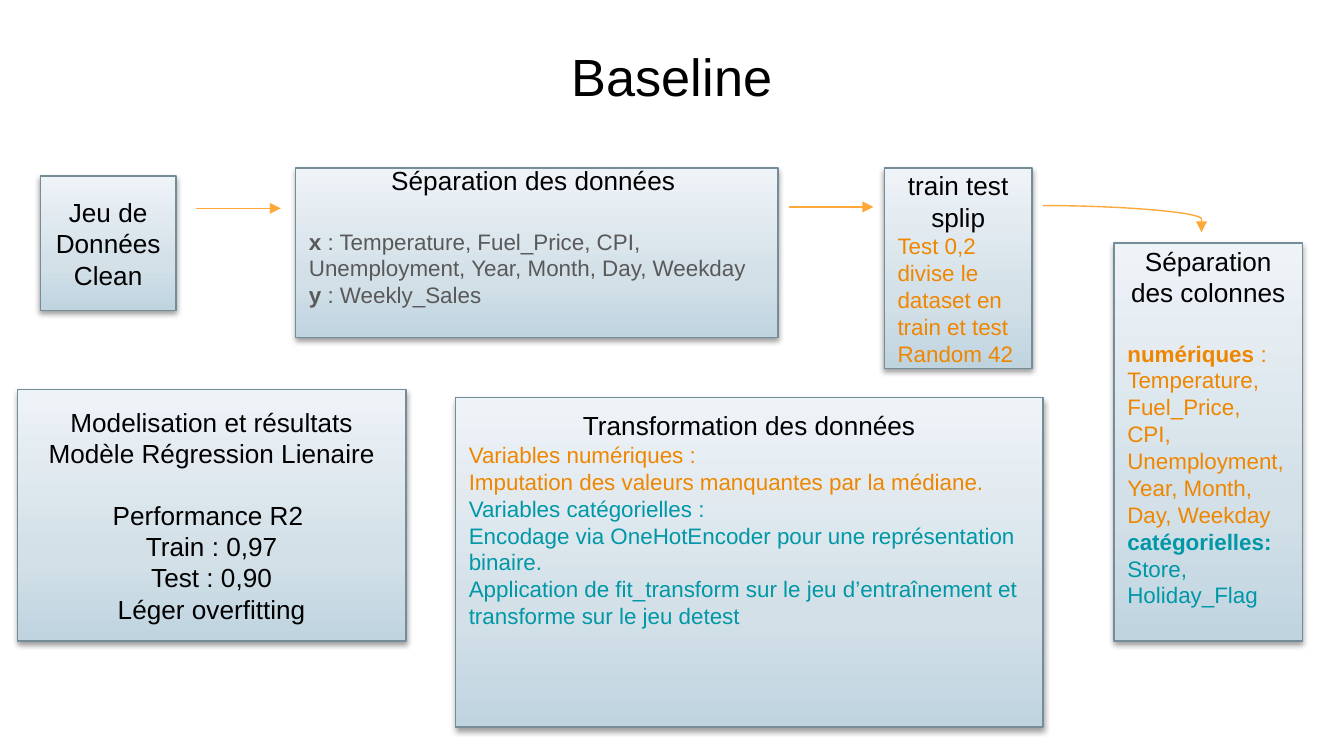
from dataclasses import dataclass

from pptx import Presentation
from pptx import util as u
from pptx.dml.color import RGBColor
from pptx.enum import shapes, text
from pptx.oxml import parse_xml
from pptx.oxml.ns import nsdecls


class Theme:
    font = "Arial"
    black, grey, orange, teal = "000000", "595959", "EF8600", "0097A7"
    outline, arrow = "748D99", "FEA83A"
    gradient = ((0, "C0D4E0"), (35, "D3E0E8"), (100, "EEF3F7"))
    title, heading, body = 28, 14, 12
    line = 0.75


@dataclass
class Para:
    text: str
    color: str = Theme.black
    lead: str = ""  # bold opening words
    gap: int = 0    # space before, in points

    @property
    def is_heading(self):
        return self.color == Theme.black


class Deck:
    """Holds the theme and the 16:9 slide; grid columns and rows are 1% of its width."""

    def __init__(self, theme, width):
        self.theme = theme
        self.prs = Presentation()
        self.prs.slide_width = u.Inches(width)
        self.prs.slide_height = u.Inches(width * 9 / 16)
        self.cell = self.prs.slide_width / 100
        self.s = self.prs.slides.add_slide(self.prs.slide_layouts[5])

    def grid(self, *cells):
        return [u.Emu(round(c * self.cell)) for c in cells]

    def style(self, run, size, color, bold=False):
        run.font.name, run.font.size, run.font.bold = self.theme.font, u.Pt(size), bold
        run.font.color.rgb = RGBColor.from_string(color)

    def stroke(self, line, color):
        line.color.rgb = RGBColor.from_string(color)
        line.width = u.Pt(self.theme.line)

    def title(self, words, *place):
        sp = self.s.shapes.title
        sp.left, sp.top, sp.width, sp.height = self.grid(*place)
        tf = sp.text_frame
        tf.text = words
        tf.auto_size = text.MSO_AUTO_SIZE.NONE
        tf.vertical_anchor = text.MSO_ANCHOR.TOP
        tf.margin_top, = self.grid(1)
        p = tf.paragraphs[0]
        p.alignment = text.PP_ALIGN.CENTER
        self.style(p.runs[0], self.theme.title, self.theme.black)

    def box(self, place, paras, top=None):
        """Gradient card; text is centred vertically unless a top inset is given."""
        sp = self.s.shapes.add_shape(shapes.MSO_SHAPE.RECTANGLE, *self.grid(*place))
        stops = "".join(f'<a:gs pos="{at * 1000}"><a:srgbClr val="{color}"/></a:gs>'
                        for at, color in self.theme.gradient)
        props = sp._element.spPr
        props.append(parse_xml(
            f'<a:gradFill {nsdecls("a")} rotWithShape="1"><a:gsLst>{stops}</a:gsLst>'
            '<a:lin ang="16200000" scaled="0"/></a:gradFill>'))
        self.stroke(sp.line, self.theme.outline)
        props.append(parse_xml(
            f'<a:effectLst {nsdecls("a")}><a:outerShdw blurRad="{u.Pt(3.1)}" '
            f'dist="{u.Pt(1.6)}" dir="5400000" rotWithShape="0"><a:srgbClr val="000000">'
            '<a:alpha val="38000"/></a:srgbClr></a:outerShdw></a:effectLst>'))

        tf = sp.text_frame
        tf.word_wrap = True
        tf.vertical_anchor = text.MSO_ANCHOR.MIDDLE
        if top is not None:
            tf.vertical_anchor = text.MSO_ANCHOR.TOP
            tf.margin_top, = self.grid(top)
        for i, para in enumerate(paras):
            p = tf.paragraphs[0] if i == 0 else tf.add_paragraph()
            p.alignment = text.PP_ALIGN.CENTER if para.is_heading else text.PP_ALIGN.LEFT
            if para.gap:
                p.space_before = u.Pt(para.gap)
            size = self.theme.heading if para.is_heading else self.theme.body
            for words, bold in ((para.lead, True), (para.text, False)):
                if words:
                    r = p.add_run()
                    r.text = words
                    self.style(r, size, para.color, bold)

    def arrow(self, *ends, curved=False):
        kind = shapes.MSO_CONNECTOR.CURVE if curved else shapes.MSO_CONNECTOR.STRAIGHT
        c = self.s.shapes.add_connector(kind, *self.grid(*ends))
        self.stroke(c.line, self.theme.arrow)
        c.line._get_or_add_ln().append(
            parse_xml(f'<a:tailEnd {nsdecls("a")} type="triangle"/>'))
        props = c._element.spPr
        props.append(parse_xml(f'<a:effectLst {nsdecls("a")}/>'))
        if curved:  # bend at the far end, so the arrow arrives pointing down
            props.prstGeom.get_or_add_avLst().append(
                parse_xml(f'<a:gd {nsdecls("a")} name="adj1" fmla="val 100000"/>'))


def main():
    t = Theme
    deck = Deck(t, 10)
    deck.title("Baseline", 3.4, 2.3, 93.2, 6.3)

    # Data set and target
    features = "Temperature, Fuel_Price, CPI, Unemployment, Year, Month, Day, Weekday"
    deck.box((3, 13.1, 10.1, 10), [Para("Jeu de Données Clean")])
    deck.box((22, 12.5, 35.9, 12.6), [
        Para("Séparation des données "),
        Para(f" : {features}", t.grey, "x", gap=17),
        Para(" : Weekly_Sales", t.grey, "y"),
    ], top=-0.25)

    # Train/test split and column types
    deck.box((65.8, 12.5, 11, 14.9), [
        Para("train test splip"),
        Para("Test 0,2 divise le dataset en train et test Random 42", t.orange),
    ])
    deck.box((82.9, 18.1, 14, 29.6), [
        Para("Séparation des colonnes"),
        Para(f": {features}", t.orange, "numériques ", gap=17),
        Para("Store, Holiday_Flag", t.teal, "catégorielles: "),
    ], top=0.15)

    # Transformation
    deck.box((33.9, 29.6, 43.7, 24.5), [
        Para("Transformation des données"),
        Para("Variables numériques :", t.orange),
        Para("Imputation des valeurs manquantes par la médiane.", t.orange),
        Para("Variables catégorielles :", t.teal),
        Para("Encodage via OneHotEncoder pour une représentation binaire.", t.teal),
        Para("Application de fit_transform sur le jeu d’entraînement et "
             "transforme sur le jeu detest", t.teal),
    ], top=0.88)

    # Model and results
    deck.box((1.3, 29, 28.9, 18.7), [
        Para("Modelisation et résultats"),
        Para("Modèle Régression Lienaire"),
        Para("Performance R2 ", gap=16),
        Para("Train : 0,97"),
        Para("Test : 0,90"),
        Para("Léger overfitting"),
    ])

    # Flow
    deck.arrow(14.6, 15.5, 20.9, 15.5)
    deck.arrow(58.7, 15.4, 65, 15.4)
    deck.arrow(77.6, 15.3, 89.4, 17.3, curved=True)

    deck.prs.save("out.pptx")


if __name__ == "__main__":
    main()
